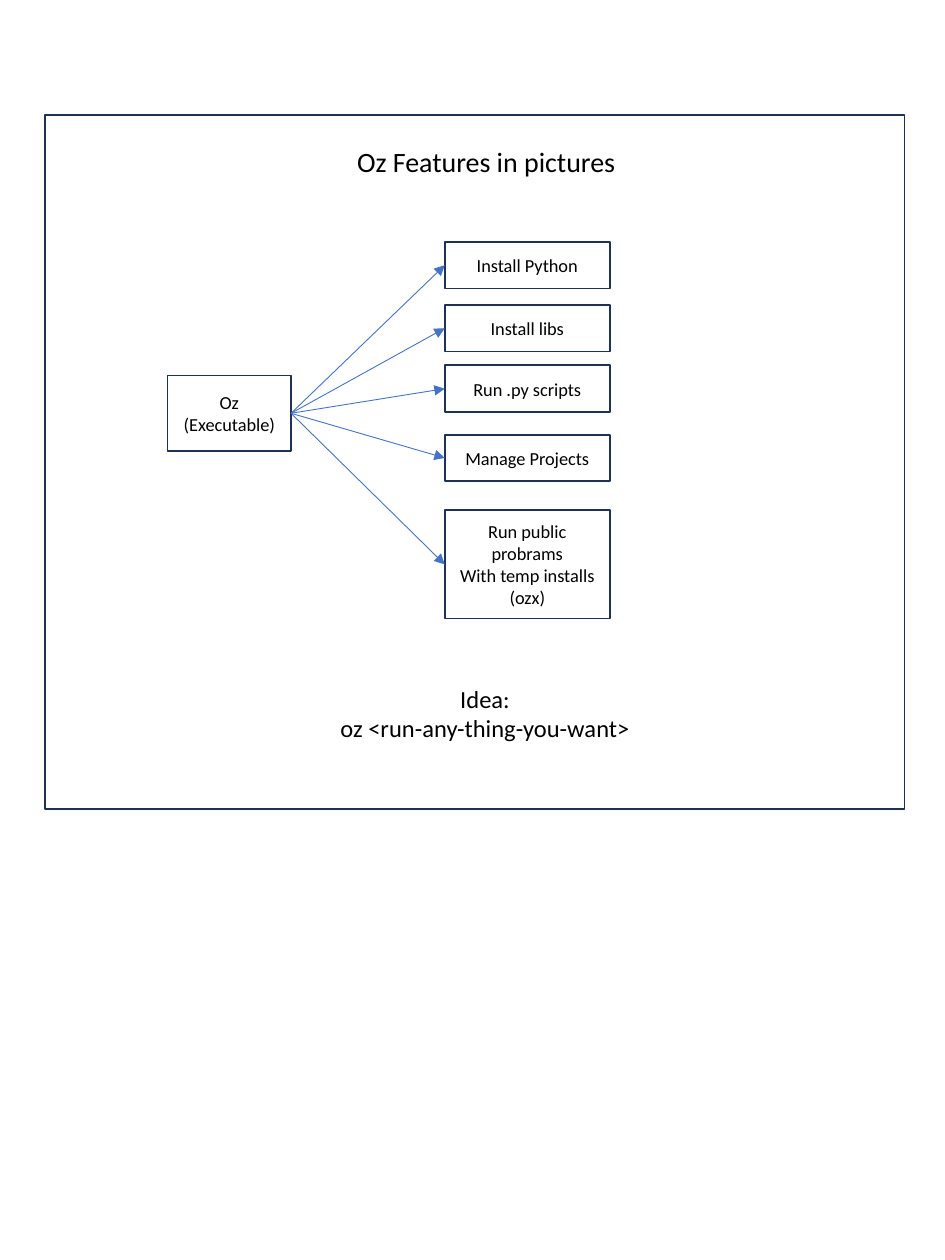
"""Build the one-page slide on what the oz executable can do."""
from dataclasses import dataclass

from lxml import etree
from pptx import Presentation
from pptx.dml.color import RGBColor
from pptx.enum.shapes import MSO_CONNECTOR, MSO_SHAPE
from pptx.enum.text import MSO_ANCHOR, MSO_AUTO_SIZE, PP_ALIGN
from pptx.oxml.ns import qn
from pptx.util import Inches, Pt

RECT = MSO_SHAPE.RECTANGLE
LINE = MSO_CONNECTOR.STRAIGHT
TOP, MIDDLE = MSO_ANCHOR.TOP, MSO_ANCHOR.MIDDLE
GROW, FIXED = MSO_AUTO_SIZE.SHAPE_TO_FIT_TEXT, MSO_AUTO_SIZE.NONE
CENTER = PP_ALIGN.CENTER
LEFT_SITE, RIGHT_SITE = 1, 3


@dataclass(frozen=True)
class Theme:
    font: str = "Calibri"
    ink: RGBColor = RGBColor(0x00, 0x00, 0x00)
    edge: RGBColor = RGBColor(0x1E, 0x32, 0x56)
    arrow: RGBColor = RGBColor(0x44, 0x72, 0xC4)
    head: Pt = Pt(16)
    note: Pt = Pt(14)
    body: Pt = Pt(10.5)
    thick: Pt = Pt(1)
    thin: Pt = Pt(0.5)


theme = Theme()


def write(shape, text, size, **frame):
    body = shape.text_frame
    body.text = text
    for name, value in {"word_wrap": True, **frame}.items():
        setattr(body, name, value)
    style = {"name": theme.font, "size": size, "bold": False}
    for para in body.paragraphs:
        para.alignment = CENTER
        for run in para.runs:
            for name, value in style.items():
                setattr(run.font, name, value)
            run.font.color.rgb = theme.ink


def add_box(left, top, width, height):
    box = slide.shapes.add_shape(RECT, *map(Inches, (left, top, width, height)))
    box.shadow.inherit = False
    box.fill.background()
    box.line.color.rgb = theme.edge
    box.line.width = theme.thick
    return box


deck = Presentation()
deck.slide_width, deck.slide_height = Inches(7.5), Inches(10)
slide = deck.slides.add_slide(deck.slide_layouts[5])

title = slide.shapes.title
place = {"left": 1.33, "top": 1.1, "width": 5.06, "height": 0.37}
for name, value in place.items():
    setattr(title, name, Inches(value))
write(title, "Oz Features in pictures", theme.head,
      vertical_anchor=TOP, auto_size=GROW)

add_box(0.36, 0.91, 6.82, 5.51)
source = add_box(1.33, 2.98, 0.98, 0.6)
write(source, "Oz\n(Executable)", theme.body,
      vertical_anchor=MIDDLE, auto_size=FIXED)

tasks = [
    ("Install Python", 1.92, 0.37),
    ("Install libs", 2.42, 0.37),
    ("Run .py scripts", 2.9, 0.37),
    ("Manage Projects", 3.45, 0.37),
    ("Run public probrams\nWith temp installs\n(ozx)", 4.05, 0.86),
]
for text, top, height in tasks:
    task = add_box(3.53, top, 1.31, height)
    write(task, text, theme.body, vertical_anchor=MIDDLE, auto_size=FIXED)
    link = slide.shapes.add_connector(LINE, 0, 0, 0, 0)
    link.begin_connect(source, RIGHT_SITE)
    link.end_connect(task, LEFT_SITE)
    link.line.color.rgb = theme.arrow
    link.line.width = theme.thin
    props = link.element.spPr
    etree.SubElement(props.find(qn("a:ln")), qn("a:tailEnd"), type="triangle")
    etree.SubElement(props, qn("a:effectLst"))

idea = slide.shapes.add_textbox(*map(Inches, (2.16, 5.38, 3.38, 0.57)))
write(idea, "Idea:\voz <run-any-thing-you-want>", theme.note,
      margin_left=0, margin_right=0, vertical_anchor=TOP, auto_size=GROW)

deck.save("out.pptx")
